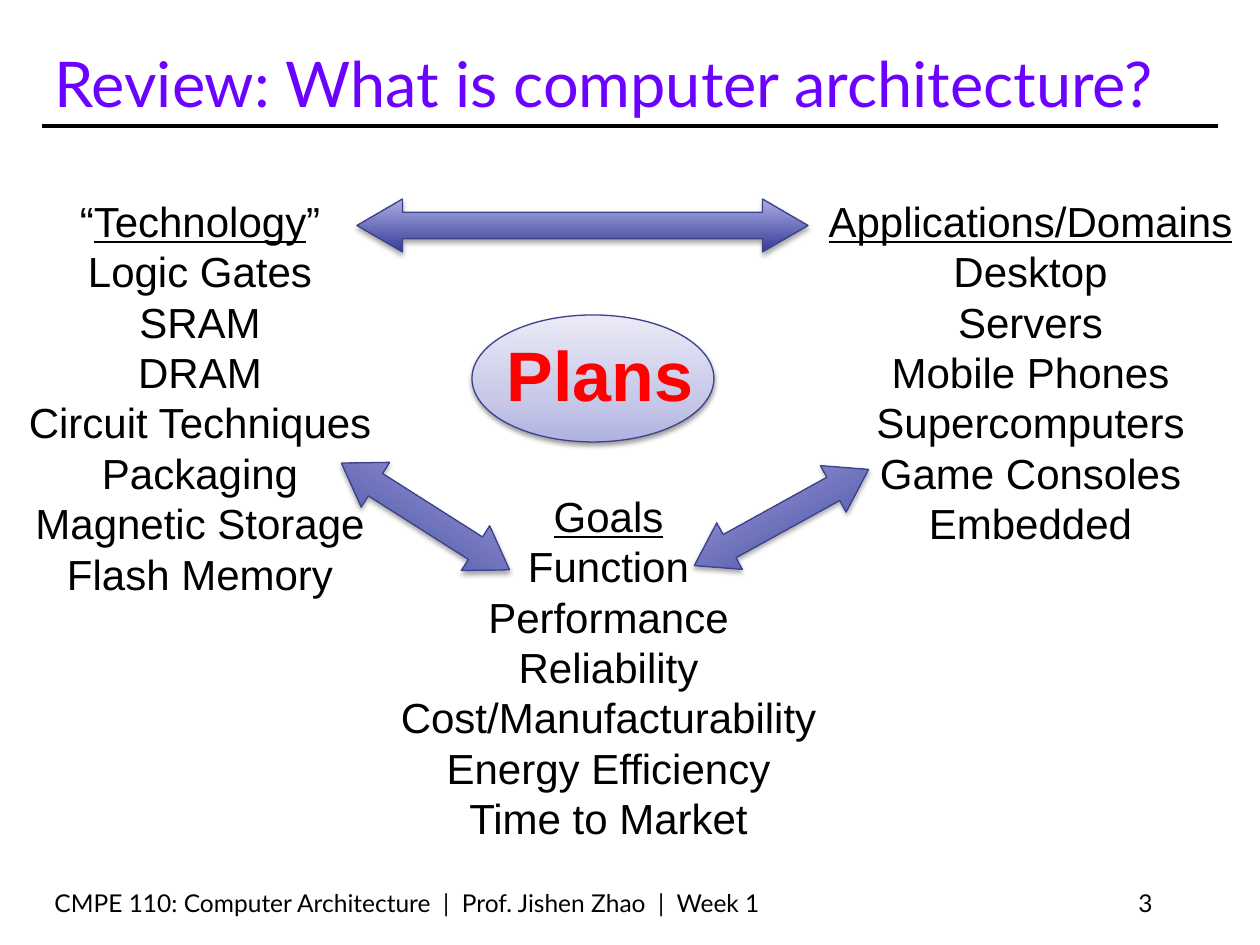
from lxml.etree import SubElement
from pptx import Presentation
from pptx.dml.color import RGBColor
from pptx.enum.shapes import MSO_CONNECTOR, MSO_SHAPE
from pptx.enum.text import MSO_ANCHOR, PP_ALIGN
from pptx.oxml.ns import qn
from pptx.util import Emu, Pt

BLACK = RGBColor(0x00, 0x00, 0x00)
RED = RGBColor(0xFF, 0x00, 0x00)
VIOLET = RGBColor(0x6B, 0x02, 0xFF)
OUTLINE = RGBColor(0x3D, 0x42, 0x8B)
ARROW_STOPS = [(0, RGBColor(0x35, 0x3B, 0x97)), (100, RGBColor(0xAC, 0xAE, 0xE4))]
HUB_STOPS = [
    (0, RGBColor(0xB0, 0xB2, 0xE0)),
    (35, RGBColor(0xC8, 0xC9, 0xE8)),
    (100, RGBColor(0xEA, 0xEA, 0xF7)),
]

TECHNOLOGY = ["Logic Gates", "SRAM", "DRAM", "Circuit Techniques", "Packaging",
              "Magnetic Storage", "Flash Memory"]
DOMAINS = ["Desktop", "Servers", "Mobile Phones", "Supercomputers",
           "Game Consoles", "Embedded"]
GOALS = ["Function", "Performance", "Reliability", "Cost/Manufacturability",
         "Energy Efficiency", "Time to Market"]


def px(n):
    return Emu(round(n * 914400 / 126))


def style(r, size, font, color):
    r.font.size = Pt(size)
    r.font.name = font
    r.font.color.rgb = color


def add_text(s, box, text, size, font, color, align=PP_ALIGN.LEFT,
             anchor=MSO_ANCHOR.BOTTOM, wrap=True):
    tf = s.shapes.add_textbox(*map(px, box)).text_frame
    tf.word_wrap = wrap
    tf.vertical_anchor = anchor
    tf.text = text
    for p in tf.paragraphs:
        p.alignment = align
        for r in p.runs:
            style(r, size, font, color)
    return tf


def add_glossy(s, shape, box, stops, shadow_alpha, shadow_px):
    sp = s.shapes.add_shape(shape, *map(px, box))
    sp.line.color.rgb = OUTLINE
    sp.line.width = Pt(0.75)
    sp.fill.gradient()
    sp.fill.gradient_angle = 90
    gs_list = sp._element.spPr.find(qn("a:gradFill")).find(qn("a:gsLst"))
    gs_list.clear()
    for pos, color in stops:
        gs = SubElement(gs_list, qn("a:gs"), pos=str(pos * 1000))
        SubElement(gs, qn("a:srgbClr"), val=str(color))
    sp.shadow.inherit = False
    effects = sp._element.spPr.find(qn("a:effectLst"))
    shadow = SubElement(effects, qn("a:outerShdw"), blurRad=str(px(5)),
                        dist=str(px(shadow_px)), dir="5400000", rotWithShape="0")
    color = SubElement(shadow, qn("a:srgbClr"), val=str(BLACK))
    SubElement(color, qn("a:alpha"), val=str(shadow_alpha * 1000))
    return sp


def add_header(s, x, y, w, h, title):
    add_text(s, (x, y, w, h), title, 36, "Lato", VIOLET)
    rule = s.shapes.add_connector(MSO_CONNECTOR.STRAIGHT,
                                  px(x), px(y + h), px(x + w), px(y + h))
    rule.line.color.rgb = BLACK
    rule.line.width = Pt(2.25)
    SubElement(rule._element.spPr, qn("a:effectLst"))


def add_topic(s, x, y, w, h, heading, items, quotes=("", "")):
    tf = add_text(s, (x, y, w, h), "\n".join([""] + items), 24, "Arial", BLACK,
                  PP_ALIGN.CENTER, MSO_ANCHOR.TOP, wrap=False)
    before, after = quotes
    for text in filter(None, (before, heading, after)):
        r = tf.paragraphs[0].add_run()
        r.text = text
        style(r, 24, "Arial", BLACK)
        r.font.underline = text == heading


def add_hub(s, x, y, w, h, label):
    add_glossy(s, MSO_SHAPE.OVAL, (x, y, w, h), HUB_STOPS, 38, 3)
    tf = add_text(s, (x + 21, y + 10, w - 28, h - 30), label, 40, "Arial", RED,
                  PP_ALIGN.CENTER, MSO_ANCHOR.TOP, wrap=False)
    tf.paragraphs[0].runs[0].font.bold = True


def add_arrow(s, x, y, w, h, head, rotation=0):
    sp = add_glossy(s, MSO_SHAPE.LEFT_RIGHT_ARROW, (x, y, w, h), ARROW_STOPS, 35, 3)
    sp.adjustments[0] = 0.5
    sp.adjustments[1] = head
    sp.rotation = rotation


def add_footer(s, x, y, w, h, text, number):
    add_text(s, (x, y, 788, h), text, 14, "Lato", BLACK)
    add_text(s, (x + w - 262, y, 262, h), number, 14, "Lato", BLACK, PP_ALIGN.RIGHT)


def main():
    prs = Presentation()
    prs.slide_width, prs.slide_height = px(1260), px(945)
    s = prs.slides.add_slide(prs.slide_layouts[6])
    add_header(s, 42, 32, 1176, 94, "Review: What is computer architecture?")
    add_hub(s, 472, 315, 242, 127, "Plans")
    add_topic(s, 15, 189, 370, 420, "Technology", TECHNOLOGY, ("“", "”"))
    add_topic(s, 813, 189, 435, 369, "Applications/Domains", DOMAINS)
    add_arrow(s, 357, 199, 451, 53, 0.86)
    add_arrow(s, 682, 491, 199, 53, 0.76, 331.1)
    add_arrow(s, 326, 490, 199, 53, 0.76, 32.4)
    add_topic(s, 386, 484, 445, 369, "Goals", GOALS)
    add_footer(s, 42, 882, 1123, 42,
               "CMPE 110: Computer Architecture  |  Prof. Jishen Zhao  |  Week 1", "3")
    prs.save("out.pptx")


if __name__ == "__main__":
    main()
